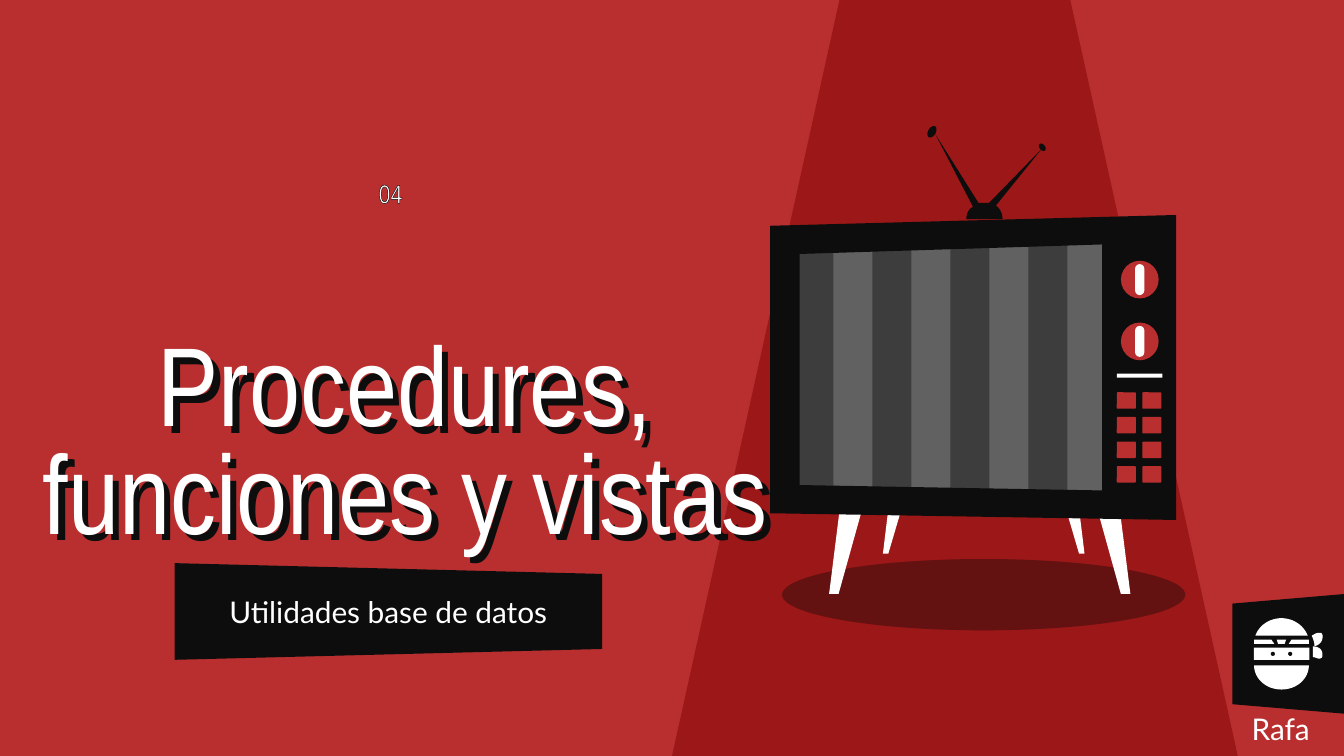
"""Build a section title slide with a retro television on a red stage."""
import pptx
import pptx.dml.color
import pptx.enum.shapes
import pptx.enum.text
import pptx.oxml
import pptx.util
from dataclasses import dataclass

Pt = pptx.util.Pt
KIND = pptx.enum.shapes.MSO_SHAPE
ANCHOR = pptx.enum.text.MSO_ANCHOR
NAMESPACE = 'xmlns:a="http://schemas.openxmlformats.org/drawingml/2006/main"'


@dataclass(frozen=True)
class Theme:
    red: str = "B92F2F"
    beam: str = "9C1717"
    floor: str = "631111"
    black: str = "0D0D0D"
    white: str = "FFFFFF"
    dark_gray: str = "3D3D3D"
    light_gray: str = "616161"
    heading_font: str = "Arial Narrow"
    body_font: str = "Lato"
    title_size: int = 60
    body_size: int = 16
    number_size: int = 14


THEME = Theme()

NUMBER = ("04", (171.4, 91.4, 75.6, 72.7))
TITLE = ("Procedures, funciones y vistas", (9.4, 203.8, 415.4, 72.7))
BODY_TEXTS = [
    ("Rafa", (652.3, 375.8, 67.7, 29.5)),
    ("Utilidades base de datos", (101.5, 307.4, 213.1, 40.3)),
]

# Outline entries: two numbers are a corner, six are a cubic curve.
ANTENNA = [
    (501.1, 72), (521.3, 110.9), (519.1, 111.6, 517.7, 114.5, 517.7, 117.4),
    (537.1, 117.4), (537.1, 114.5, 535.7, 111.6, 533.5, 110.2), (558, 79.9),
    (529.9, 108.7), (524.2, 108.7),
]
ANTENNA_TIPS = [((556.9, 76.6, 3, 4.6), -40), ((497.2, 67.2, 4.2, 6.8), 30)]
FRAME = [(630, 115.2), (412.6, 121), (412.6, 275), (630, 278.6)]
SCREEN = [(590.4, 131), (590.4, 262.8), (428.4, 259.9), (428.4, 136.1)]
LEGS = [
    ([(450.7, 266.4), (444.2, 318.2), (449.3, 318.2), (463.7, 266.4)], 524.9),
    ([(476.6, 267.1), (473, 296.6), (475.9, 296.6), (484.6, 267.1)], 527),
]
KNOB_CENTERS = [(610.6, 149.8), (610.6, 182.9)]
BUTTON_LEFTS = (598.3, 612)
NINJA_AXIS = 686.5
MASK_FOLD = [(671.8, 342.7), (671.8, 344.9), (682.6, 344.9), (681.1, 342.7)]
NINJA = [
    [(703.4, 346.3), (703.4, 352.1), (704.9, 352.1, 705.6, 352.8, 706.3, 352.8),
     (707, 352.8), (707.8, 352.8, 708.5, 352.1, 708.5, 351.4), (708.5, 350.6),
     (708.5, 347.8, 706.3, 346.3, 703.4, 346.3)],
    [(706.3, 339.1), (704.9, 339.1, 704.2, 339.8, 702.7, 340.6),
     (703.4, 342, 704.2, 344.2, 704.2, 346.3),
     (706.3, 345.6, 708.5, 344.2, 708.5, 341.3), (708.5, 340.6),
     (708.5, 339.8, 707.8, 339.1, 707.8, 339.1)],
    [(671.8, 356.4), (671.8, 363.6, 678.2, 369.4, 686.5, 369.4),
     (694.8, 369.4, 701.2, 363.6, 701.2, 356.4)],
    [(684, 342.7), (684.7, 344.9), (688.3, 344.9), (689, 342.7)],
    [(672.5, 340.6), (674.6, 334.8, 680.4, 331.2, 686.5, 331.2),
     (692.6, 331.2, 698.4, 334.8, 700.6, 340.6)],
]


def rgb(color):
    return pptx.dml.color.RGBColor.from_string(color)


def paint(shape, color):
    shape.shadow.inherit = False
    shape.fill.solid()
    shape.fill.fore_color.rgb = rgb(color)
    shape.line.fill.background()


def add_preset(slide, kind, box, color, rotation=0, adjustment=None):
    shape = slide.shapes.add_shape(kind, *map(Pt, box))
    shape.rotation = rotation
    if adjustment is not None:
        shape.adjustments[0] = adjustment
    paint(shape, color)


def flatten(outline, steps=12):
    points = []
    for entry in outline:
        if len(entry) == 2:
            points.append(entry)
            continue
        knots = [points[-1], entry[:2], entry[2:4], entry[4:]]
        for step in range(1, steps + 1):
            t = step / steps
            weights = ((1 - t) ** 3, 3 * t * (1 - t) ** 2, 3 * t * t * (1 - t), t ** 3)
            points.append(tuple(sum(weight * knot[axis] for weight, knot in zip(weights, knots))
                                for axis in (0, 1)))
    return [(Pt(x), Pt(y)) for x, y in points]


def add_outline(slide, color, outline, hole=None):
    start, *rest = flatten(outline)
    builder = slide.shapes.build_freeform(*start)
    builder.add_line_segments(rest, close=True)
    if hole:
        start, *rest = flatten(hole)
        builder.move_to(*start)
        builder.add_line_segments(rest, close=True)
    paint(builder.convert_to_shape(), color)


def mirror(outline, axis):
    return [(2 * axis - x, y) for x, y in outline]


def add_text(slide, text, box, font, size, anchor=ANCHOR.MIDDLE, inset=7.2):
    shape = slide.shapes.add_textbox(*map(Pt, box))
    frame = shape.text_frame
    frame.word_wrap = True
    frame.vertical_anchor = anchor
    frame.margin_top = frame.margin_bottom = Pt(inset)
    paragraph = frame.paragraphs[0]
    paragraph.text = text
    paragraph.alignment = pptx.enum.text.PP_ALIGN.CENTER
    paragraph.font.name = font
    paragraph.font.size = Pt(size)
    paragraph.font.color.rgb = rgb(THEME.white)
    return shape, paragraph


def add_television(slide):
    add_preset(slide, KIND.OVAL, (419, 299.5, 216, 38.2), THEME.floor)
    for box, rotation in ANTENNA_TIPS:
        add_preset(slide, KIND.OVAL, box, THEME.black, rotation)
    add_outline(slide, THEME.black, ANTENNA)
    for index in range(8):
        color = THEME.light_gray if index % 2 else THEME.dark_gray
        add_preset(slide, KIND.RECTANGLE, (425.5 + 20.9 * index, 129.6, 21.4, 137.5), color)
    for leg, axis in LEGS:
        add_outline(slide, THEME.white, leg)
        add_outline(slide, THEME.white, mirror(leg, axis))
    add_outline(slide, THEME.black, FRAME, SCREEN)
    for x, y in KNOB_CENTERS:
        add_preset(slide, KIND.OVAL, (x - 10.1, y - 10.1, 20.2, 20.2), THEME.red)
        add_preset(slide, KIND.ROUNDED_RECTANGLE, (x - 2.5, y - 8.3, 5, 16.6),
                   THEME.white, adjustment=0.5)
    for row in range(4):
        for left in BUTTON_LEFTS:
            add_preset(slide, KIND.ROUNDED_RECTANGLE, (left, 210.2 + 13.2 * row, 10.2, 8.8),
                       THEME.red, adjustment=0.06)
    add_preset(slide, KIND.RECTANGLE, (598.3, 200.2, 24.5, 2.2), THEME.white)


def add_ninja(slide):
    for outline in NINJA + [MASK_FOLD, mirror(MASK_FOLD, NINJA_AXIS)]:
        add_outline(slide, THEME.white, outline)
    add_preset(slide, KIND.RECTANGLE, (671.8, 347, 29.7, 6.5), THEME.white)
    for left in (680.8, 690.1):
        add_preset(slide, KIND.OVAL, (left, 349.2, 2.2, 2.2), THEME.black)


def main():
    presentation = pptx.Presentation()
    presentation.slide_width, presentation.slide_height = Pt(720), Pt(405)
    slide = presentation.slides.add_slide(presentation.slide_layouts[6])
    slide.background.fill.solid()
    slide.background.fill.fore_color.rgb = rgb(THEME.red)

    add_preset(slide, KIND.TRAPEZOID, (360, 0, 303.1, 405), THEME.beam, adjustment=0.296)
    add_preset(slide, KIND.TRAPEZOID, (182.2, 213.1, 51.8, 229), THEME.black, 90, 0.112)
    number, paragraph = add_text(slide, *NUMBER, THEME.heading_font, THEME.number_size,
                                 ANCHOR.TOP, 3.6)
    paragraph.runs[0].font._element.insert(0, pptx.oxml.parse_xml(
        f'<a:ln {NAMESPACE} w="{Pt(1.5)}"><a:solidFill><a:srgbClr val="{THEME.black}"/>'
        '</a:solidFill></a:ln>'))
    add_television(slide)

    title, paragraph = add_text(slide, *TITLE, THEME.heading_font, THEME.title_size)
    paragraph.line_spacing = 0.8
    title._element.spPr.append(pptx.oxml.parse_xml(
        f'<a:effectLst {NAMESPACE}><a:outerShdw dist="{Pt(5)}" dir="2700000" algn="bl" '
        f'rotWithShape="0"><a:srgbClr val="{THEME.black}"/></a:outerShdw></a:effectLst>'))

    add_preset(slide, KIND.TRAPEZOID, (658.1, 320.4, 64.1, 59.8), THEME.black, 270, 0.085)
    add_ninja(slide)
    for text, box in BODY_TEXTS:
        add_text(slide, text, box, THEME.body_font, THEME.body_size)
    presentation.save("out.pptx")


if __name__ == "__main__":
    main()
